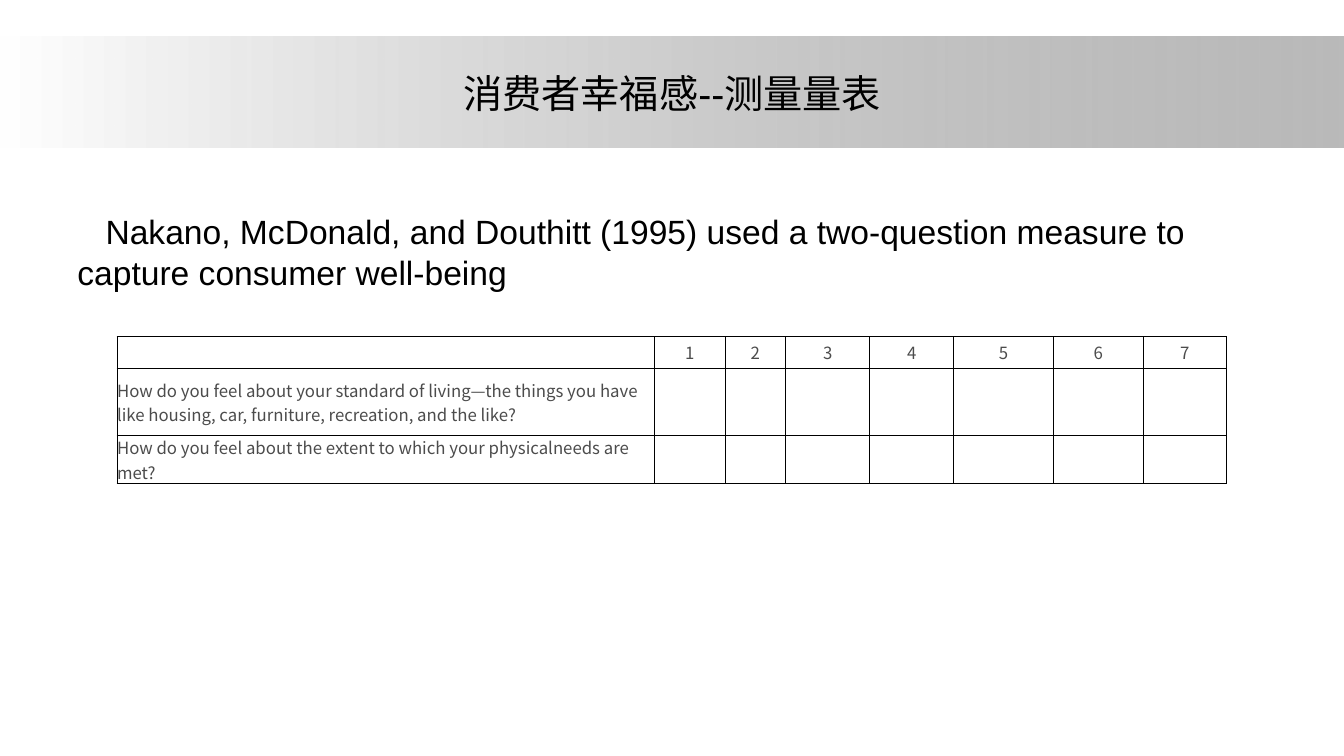
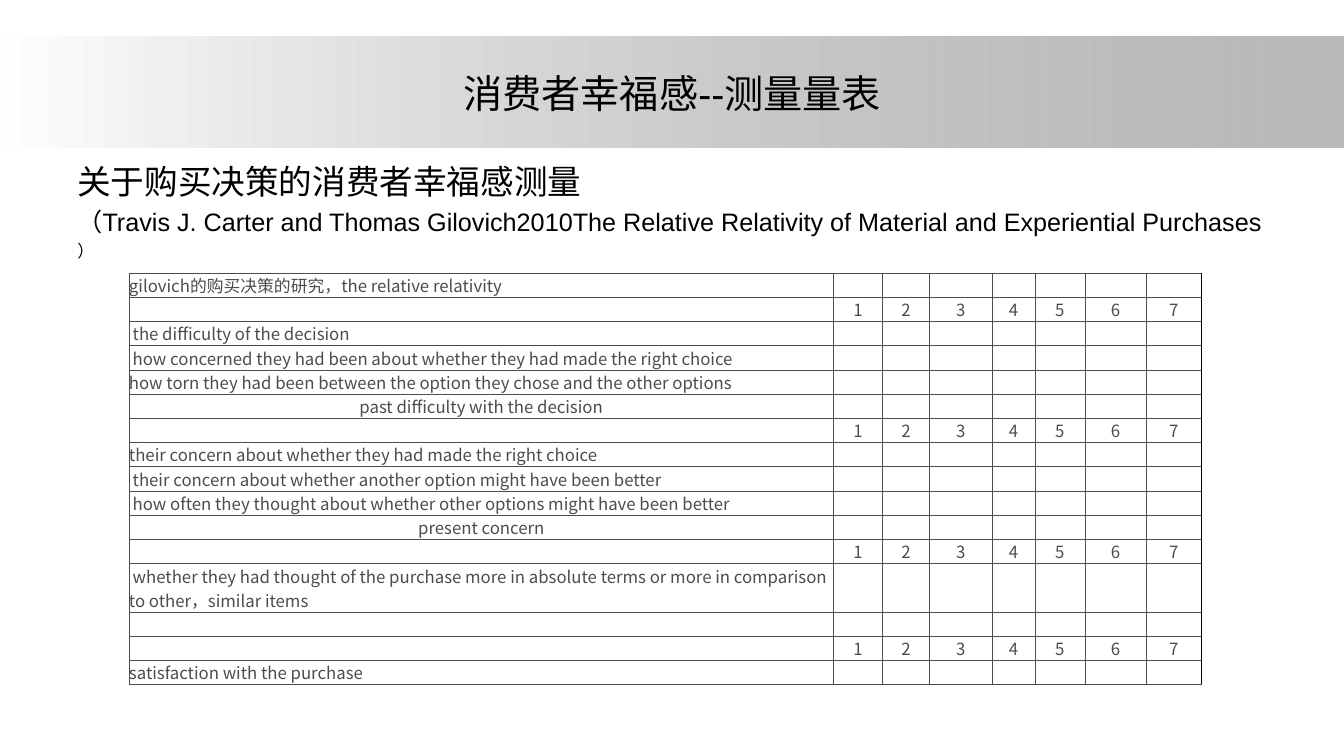
from dataclasses import dataclass

from lxml import etree
from pptx import Presentation
from pptx import util as u
from pptx.dml import color
from pptx.enum import shapes, text
from pptx.oxml import ns

BLACK, GREY = "000000", "4C4C4C"
BODY_FONT, TABLE_FONT = "Arial", "Noto Sans CJK SC"
PAGE_WIDTH, PAGE_HEIGHT = 33.87, 19.05
TITLE = "消费者幸福感--测量量表"
BAND_BOX = (0, 0.91, PAGE_WIDTH, 2.8)
TITLE_BOX = (1.7, 0.76, 30.48, 3.18)
LEFT, CENTER = text.PP_ALIGN.LEFT, text.PP_ALIGN.CENTER
POINTS = range(1, 8)


@dataclass
class Row:
    """One line of a rating scale."""

    label: str = ""
    height: float = 0.61
    align: text.PP_ALIGN = LEFT
    numbered: bool = False


@dataclass
class Line:
    """One paragraph of body text."""

    words: str
    size: int
    indent: float = 0


def rgb(value):
    """Turn a hex string into a colour."""
    return color.RGBColor.from_string(value)


def set_font(font, name, size, shade):
    """Set typeface, size and colour."""
    font.name, font.size = name, u.Pt(size)
    font.color.rgb = rgb(shade)


def add_band(page, box):
    """Draw the band that fades from white to half-clear grey."""
    band = page.shapes.add_shape(shapes.MSO_SHAPE.RECTANGLE, *map(u.Cm, box))
    band.shadow.inherit = False
    band.line.fill.background()
    band.fill.gradient()
    band.fill.gradient_angle = 0
    for stop, position, shade in zip(band.fill.gradient_stops, (0, 1), ("FFFFFF", "808080")):
        stop.position, stop.color.rgb = position, rgb(shade)
    grey = band.fill._fill._gradFill.findall(".//" + ns.qn("a:srgbClr"))[-1]
    etree.SubElement(grey, ns.qn("a:alpha"), val="54000")


def add_text(page, box, lines, align=LEFT, anchor=text.MSO_ANCHOR.TOP):
    """Write paragraphs in a wrapping text box."""
    frame = page.shapes.add_textbox(*map(u.Cm, box)).text_frame
    frame.word_wrap = True
    frame.vertical_anchor = anchor
    for number, line in enumerate(lines):
        para = frame.add_paragraph() if number else frame.paragraphs[0]
        para.text, para.alignment = line.words, align
        set_font(para.font, BODY_FONT, line.size, BLACK)
        if number:
            para.space_before = u.Pt(0.2 * line.size)
        if line.indent:
            para._p.get_or_add_pPr().set("indent", str(u.Cm(line.indent)))


def set_border(cell, side, shade, width):
    """Draw one side (L, R, T or B) of a table cell."""
    edge = etree.Element(ns.qn(f"a:ln{side}"), w=str(u.Pt(width)))
    fill = etree.SubElement(edge, ns.qn("a:solidFill"))
    etree.SubElement(fill, ns.qn("a:srgbClr"), val=shade)
    cell._tc.get_or_add_tcPr().append(edge)


def fill_cell(cell, words, align, border, right_border):
    """Give a cell its borders, text and clear fill."""
    for side in "LRTB":
        set_border(cell, side, *(right_border if side == "R" else border))
    cell.fill.background()
    cell.margin_left = cell.margin_right = cell.margin_top = cell.margin_bottom = 0
    cell.vertical_anchor = text.MSO_ANCHOR.MIDDLE
    para = cell.text_frame.paragraphs[0]
    para.text, para.alignment = words, align
    set_font(para.font, TABLE_FONT, 12, GREY)
    if not words:
        etree.SubElement(para._p, ns.qn("a:endParaRPr"), sz="1200")


def add_scale(page, left, top, widths, rows, border, outer_border):
    """Build a rating table with a label column and seven points."""
    box = (left, top, sum(widths), sum(row.height for row in rows))
    table = page.shapes.add_table(len(rows), len(widths), *map(u.Cm, box)).table
    table.first_row = table.horz_banding = False
    for column, width in zip(table.columns, widths):
        column.width = u.Cm(width)
    for index, row in enumerate(rows):
        table.rows[index].height = u.Cm(row.height)
        fill_cell(table.cell(index, 0), row.label, row.align, border, border)
        for point in POINTS:
            right_border = outer_border if point == POINTS[-1] else border
            words = str(point) if row.numbered else ""
            fill_cell(table.cell(index, point), words, CENTER, border, right_border)


def add_page(deck):
    """Add a slide with the shared band and title."""
    page = deck.slides.add_slide(deck.slide_layouts[6])
    add_band(page, BAND_BOX)
    add_text(page, TITLE_BOX, [Line(TITLE, 28)], CENTER, text.MSO_ANCHOR.MIDDLE)
    return page


def add_needs_page(deck):
    """Build the two-question measure."""
    page = add_page(deck)
    add_text(page, (1.7, 5.2, 30.48, 2.5), [
        Line("Nakano, McDonald, and Douthitt (1995) used a two-question measure "
             "to capture consumer well-being", 24, 0.71),
    ])
    rows = [
        Row(height=0.81, numbered=True),
        Row("How do you feel about your standard of living—the things you have "
            "like housing, car, furniture, recreation, and the like?", 1.68),
        Row("How do you feel about the extent to which your physicalneeds are met?", 1.2),
    ]
    widths = (13.54, 1.78, 1.53, 2.12, 2.12, 2.5, 2.27, 2.1)
    border = (BLACK, 0.75)
    add_scale(page, 2.95, 8.48, widths, rows, border, border)


def add_purchase_page(deck):
    """Build the purchase decision measure."""
    page = add_page(deck)
    add_text(page, (1.7, 3.94, 30.48, 3.6), [
        Line("关于购买决策的消费者幸福感测量", 24),
        Line("（Travis J. Carter and Thomas Gilovich2010The Relative Relativity of "
             "Material and Experiential Purchases", 18),
        Line("）", 12),
    ])
    rows = [
        Row("gilovich的购买决策的研究，the relative relativity"),
        Row(numbered=True),
        Row(" the difficulty of the decision"),
        Row(" how concerned they had been about whether they had made the right choice"),
        Row("how torn they had been between the option they chose and the other options"),
        Row("past difficulty with the decision", align=CENTER),
        Row(numbered=True),
        Row("their concern about whether they had made the right choice"),
        Row(" their concern about whether another option might have been better"),
        Row(" how often they thought about whether other options might have been better"),
        Row("present concern", align=CENTER),
        Row(numbered=True),
        Row(" whether they had thought of the purchase more in absolute terms or more "
            "in comparison to other，similar items", 1.22),
        Row(),
        Row(numbered=True),
        Row("satisfaction with the purchase"),
    ]
    widths = (17.76, 1.23, 1.19, 1.57, 1.08, 1.26, 1.54, 1.4)
    add_scale(page, 3.25, 6.88, widths, rows, (GREY, 0.5), (BLACK, 0.75))


def main():
    """Build and save the deck."""
    deck = Presentation()
    deck.slide_width, deck.slide_height = u.Cm(PAGE_WIDTH), u.Cm(PAGE_HEIGHT)
    add_needs_page(deck)
    add_purchase_page(deck)
    deck.save("out.pptx")


if __name__ == "__main__":
    main()
